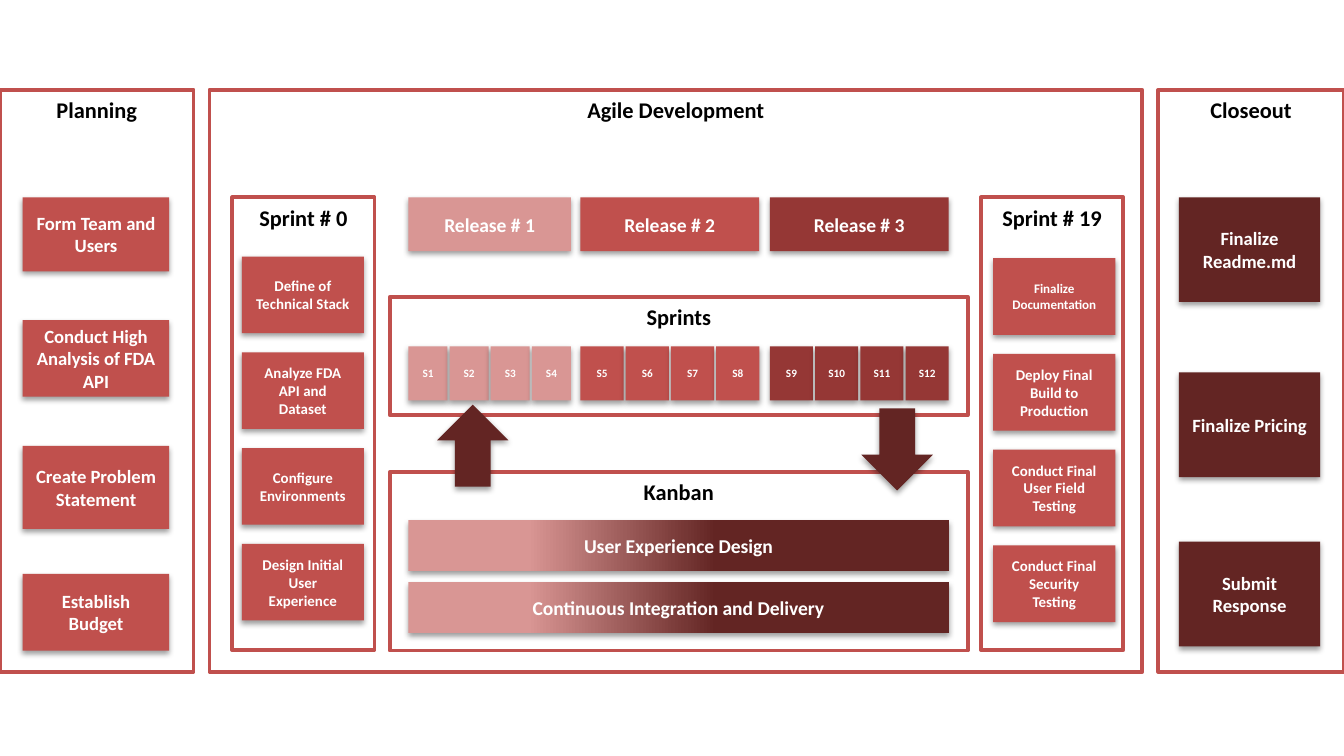
from dataclasses import dataclass
from lxml import etree
from pptx import Presentation
from pptx.dml.color import RGBColor
from pptx.enum.shapes import MSO_SHAPE
from pptx.enum.text import MSO_ANCHOR, PP_ALIGN
from pptx.oxml import parse_xml
from pptx.oxml.ns import nsdecls, qn
from pptx.util import Cm, Pt

RECT, ARROW = MSO_SHAPE.RECTANGLE, MSO_SHAPE.UP_ARROW
TOP, MIDDLE, CENTER = MSO_ANCHOR.TOP, MSO_ANCHOR.MIDDLE, PP_ALIGN.CENTER


@dataclass(frozen=True)
class Theme:
    font: str = "Calibri"
    pink: str = "D99694"
    red: str = "C0504D"
    brick: str = "953735"
    wine: str = "632523"
    white: str = "FFFFFF"
    black: str = "000000"
    title: float = 12
    bar: float = 10.5
    step: float = 10
    task: float = 8
    small: float = 7
    tiny: float = 6


theme = Theme()
rgb = RGBColor.from_string
deck = Presentation()
deck.slide_width, deck.slide_height = Cm(25.4), Cm(14.29)
slide = deck.slides.add_slide(deck.slide_layouts[6])


def write(shape, text, size, color, anchor, inset):
    frame = shape.text_frame
    frame.word_wrap = True
    frame.vertical_anchor = anchor
    frame.margin_left = frame.margin_right = Cm(inset)
    para = frame.paragraphs[0]
    para.alignment = CENTER
    run = para.add_run()
    run.text = text
    run.font.name, run.font.size, run.font.bold = theme.font, Pt(size), True
    run.font.color.rgb = rgb(color)


def block(x, y, w, h, fill, text="", size=theme.step, kind=RECT, inset=0.24):
    """Add a shadowed shape; a pair of colours as fill gives a gradient."""
    shape = slide.shapes.add_shape(kind, Cm(x), Cm(y), Cm(w), Cm(h))
    if isinstance(fill, tuple):
        shape.fill.gradient()
        shape.fill.gradient_angle = 0
        for stop, color, place in zip(shape.fill.gradient_stops, fill, (0.22, 0.57)):
            stop.color.rgb = rgb(color)
            stop.position = place
    else:
        shape.fill.solid()
        shape.fill.fore_color.rgb = rgb(fill)
    shape.line.fill.background()
    shape.shadow.inherit = False
    effects = shape.element.spPr.find(qn("a:effectLst"))
    effects.append(parse_xml(
        f'<a:outerShdw {nsdecls("a")} blurRad="{Pt(3.1)}" dist="{Pt(1.6)}" '
        f'dir="5400000" rotWithShape="0"><a:srgbClr val="{theme.black}">'
        '<a:alpha val="38000"/></a:srgbClr></a:outerShdw>'))
    if text:
        write(shape, text, size, theme.white, MIDDLE, inset)
    return shape


# Titled outlines
for x, y, w, h, text in (
    (0, 1.7, 3.66, 11, "Planning"),
    (3.96, 1.7, 17.63, 11, "Agile Development"),
    (21.89, 1.7, 3.51, 11, "Closeout"),
    (4.39, 3.73, 2.69, 8.56, "Sprint # 0"),
    (18.54, 3.73, 2.69, 8.56, "Sprint # 19"),
    (7.37, 5.61, 10.92, 2.24, "Sprints"),
    (7.37, 8.92, 10.92, 3.38, "Kanban"),
):
    panel = slide.shapes.add_shape(RECT, Cm(x), Cm(y), Cm(w), Cm(h))
    panel.fill.background()
    panel.line.color.rgb = rgb(theme.red)
    panel.line.width = Pt(2)
    panel.shadow.inherit = False
    write(panel, text, theme.title, theme.black, TOP, 0.24)

# Planning and closeout steps
for y, h, text in (
    (3.73, 1.4, "Form Team and Users"),
    (6.05, 1.45, "Conduct High Analysis of FDA API"),
    (8.43, 1.57, "Create Problem Statement"),
    (10.85, 1.45, "Establish Budget"),
):
    block(0.43, y, 2.77, h, theme.red, text)
for y, text in ((3.73, "Finalize Readme.md"), (7.04, "Finalize Pricing"),
                (10.24, "Submit Response")):
    block(22.28, y, 2.67, 1.98, theme.wine, text)

# Tasks of the first and last sprint
for x, top, tasks in (
    (4.57, 4.85, ("Define of Technical Stack", "Analyze FDA API and Dataset",
                  "Configure Environments", "Design Initial User Experience")),
    (18.77, 4.88, ("Finalize Documentation", "Deploy Final Build to Production",
                   "Conduct Final User Field Testing",
                   "Conduct Final Security Testing")),
):
    for i, text in enumerate(tasks):
        size = theme.small if text == "Finalize Documentation" else theme.task
        block(x, top + 1.81 * i, 2.31, 1.45, theme.red, text, size)

# Releases, each with four sprints below
gap = 0.04
for i, (x, w, color) in enumerate((
    (7.72, 3.07, theme.pink), (10.97, 3.38, theme.red), (14.55, 3.38, theme.brick),
)):
    block(x, 3.73, w, 1.02, color, f"Release # {i + 1}", theme.bar)
    pitch = (w + gap) / 4
    for j in range(4):
        block(x + pitch * j, 6.55, pitch - gap, 1.02, color,
              f"S{4 * i + j + 1}", theme.tiny, inset=0)

# Kanban bars and the arrows between the two outlines
for y, text in ((9.83, "User Experience Design"),
                (11, "Continuous Integration and Delivery")):
    block(7.72, y, 10.21, 0.97, (theme.pink, theme.wine), text, theme.bar)
for x, y, turn in ((8.26, 7.65, 0), (16.28, 7.72, 180)):
    block(x, y, 1.35, 1.55, theme.wine, kind=ARROW).rotation = turn

deck.save("out.pptx")
